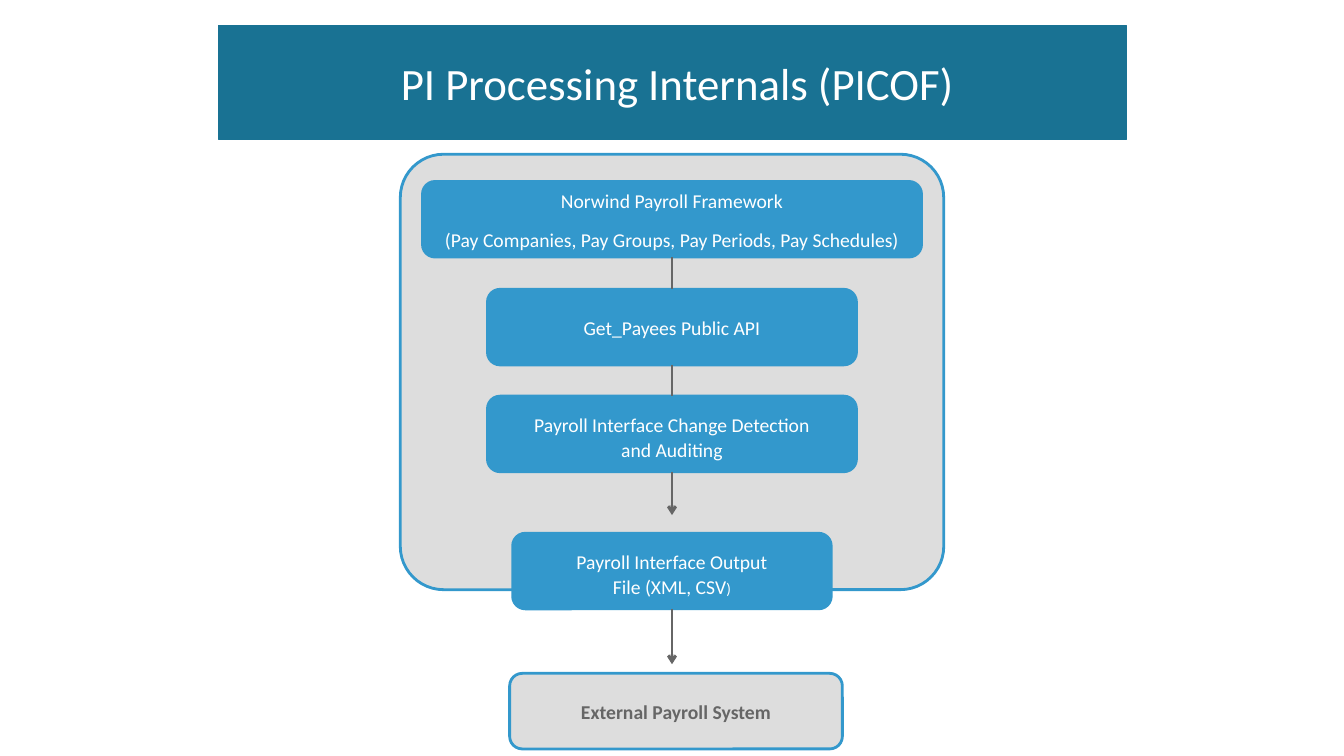
from dataclasses import dataclass

from lxml.etree import SubElement
from pptx import Presentation
from pptx.dml.color import RGBColor
from pptx.enum.shapes import MSO_CONNECTOR as CONN, MSO_SHAPE as SHAPE
from pptx.enum.text import MSO_ANCHOR as ANCHOR, MSO_AUTO_SIZE as AUTO, PP_ALIGN as ALIGN
from pptx.oxml.ns import qn
from pptx.util import Inches, Pt


@dataclass(frozen=True)
class Theme:
    font: str = "Calibri"
    banner: str = "197293"
    blue: str = "3398CC"
    panel: str = "DDDDDD"
    gray: str = "666666"
    white: str = "FFFFFF"
    title: int = 32
    body: int = 14
    small: int = 11
    line: float = 2


T = Theme()
rgb = RGBColor.from_string
BOX_H = 0.75
BOX_RADIUS = 0.125
TOP, BOTTOM = 0, 2


def add_run(p, text, size, color, bold=False):
    r = p.add_run()
    r.text = text
    r.font.name, r.font.size, r.font.bold = T.font, Pt(size), bold
    r.font.color.rgb = rgb(color)


def paint(sp, fill, line, width):
    sp.fill.solid()
    sp.fill.fore_color.rgb = rgb(fill)
    sp.line.color.rgb = rgb(line)
    sp.line.width = Pt(width)


def set_margins(tf, left, top, right, bottom):
    tf.margin_left, tf.margin_top = Inches(left), Inches(top)
    tf.margin_right, tf.margin_bottom = Inches(right), Inches(bottom)


def add_banner(s, text, x, y, w, h):
    sp = s.shapes.title
    sp.left, sp.top, sp.width, sp.height = map(Inches, (x, y, w, h))
    paint(sp, T.banner, T.banner, 0.75)
    tf = sp.text_frame
    tf.word_wrap, tf.auto_size = True, AUTO.NONE
    tf.vertical_anchor = ANCHOR.MIDDLE
    set_margins(tf, 0.1, 0.05, 0, 0.05)
    p = tf.paragraphs[0]
    p.alignment = ALIGN.CENTER
    add_run(p, text, T.title, T.white)


def add_rounded(s, x, y, w, h, radius, fill):
    sp = s.shapes.add_shape(SHAPE.ROUNDED_RECTANGLE, *map(Inches, (x, y, w, h)))
    sp.adjustments[0] = radius / h
    sp.shadow.inherit = False
    paint(sp, fill, T.blue, T.line)
    return sp


def add_step(s, x, y, w, paragraphs, inset=0.1, drop=0, fill=T.blue, color=T.white, bold=False):
    """Each paragraph is a list of (text, size) runs; drop lowers the text."""
    sp = add_rounded(s, x, y, w, BOX_H, BOX_RADIUS, fill)
    tf = sp.text_frame
    tf.word_wrap, tf.vertical_anchor = True, ANCHOR.MIDDLE
    set_margins(tf, inset, drop, inset, 0)
    for i, runs in enumerate(paragraphs):
        p = tf.add_paragraph() if i else tf.paragraphs[0]
        p.alignment, p.line_spacing = ALIGN.CENTER, 1.07
        if i:
            p.space_before = Pt(10)
        for text, size in runs:
            add_run(p, text, size, color, bold)
    return sp


def add_link(s, start, end=None, length=0):
    """Join two steps, or point an arrow down from the first one."""
    x, y = start.left + start.width // 2, start.top + start.height
    c = s.shapes.add_connector(CONN.STRAIGHT, x, y, x, y + Inches(length))
    c.begin_connect(start, BOTTOM)
    if end is not None:
        c.end_connect(end, TOP)
    c.line.color.rgb = rgb(T.gray)
    c.line.width = Pt(T.line)
    if end is None:
        SubElement(c.line._get_or_add_ln(), qn("a:tailEnd"), type="arrow")
    SubElement(c._element.spPr, qn("a:effectLst"))


def add_flow(s, x, y, w, h):
    # Panel behind the internal steps
    add_rounded(s, x, y, w, h, 0.43, T.panel)

    # Steps, centred on the panel
    def step(top, width, paragraphs, shift=0, **look):
        return add_step(s, x + (w - width) / 2 + shift, y + top, width, paragraphs, **look)

    framework = step(0.27, 4.95, [
        [("Norwind Payroll Framework", T.body)],
        [("(Pay Companies, Pay Groups, Pay Periods, Pay Schedules)", T.body)]])
    api = step(1.34, 3.66, [[("Get_Payees Public API", T.body)]])
    detection = step(2.4, 3.66, [[("Payroll Interface Change Detection and Auditing", T.body)]],
                     inset=0.3, drop=0.05)
    output = step(3.76, 3.16, [[("Payroll Interface Output File (XML, CSV", T.body), (")", T.small)]],
                  inset=0.47, drop=0.05)
    step(5.15, 3.3, [[("External Payroll System", T.body)]], shift=0.04,
         fill=T.panel, color=T.gray, bold=True)

    # Links between steps
    add_link(s, framework, api)
    add_link(s, api, detection)
    add_link(s, detection, length=0.43)
    add_link(s, output, length=0.55)


def main():
    prs = Presentation()
    prs.slide_width, prs.slide_height = Inches(13.33), Inches(7.5)
    s = prs.slides.add_slide(prs.slide_layouts[5])
    add_banner(s, "PI Processing Internals (PICOF)", 2.17, 0.25, 9, 1.13)
    add_flow(s, 3.97, 1.53, 5.39, 4.32)
    prs.save("out.pptx")


if __name__ == "__main__":
    main()
